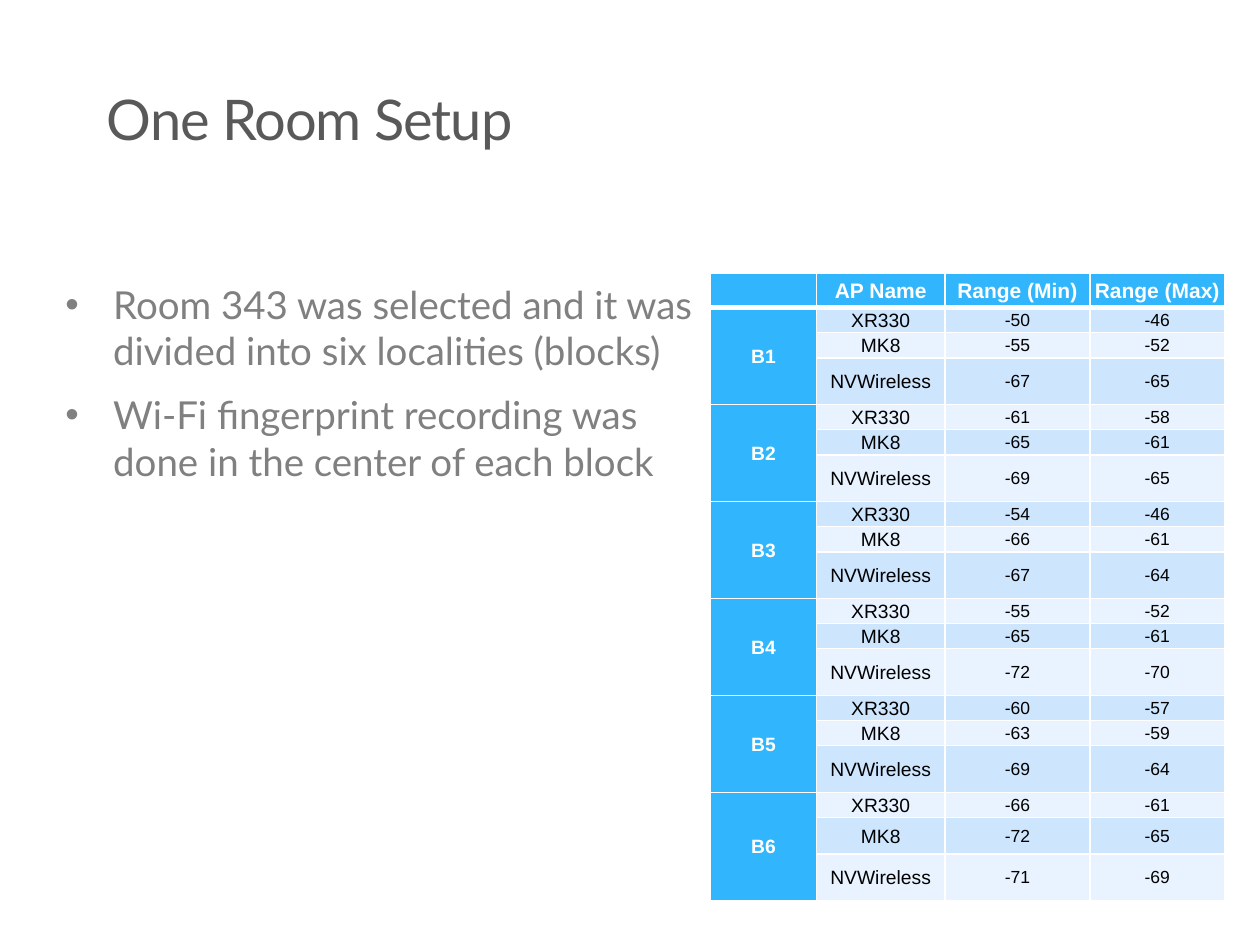
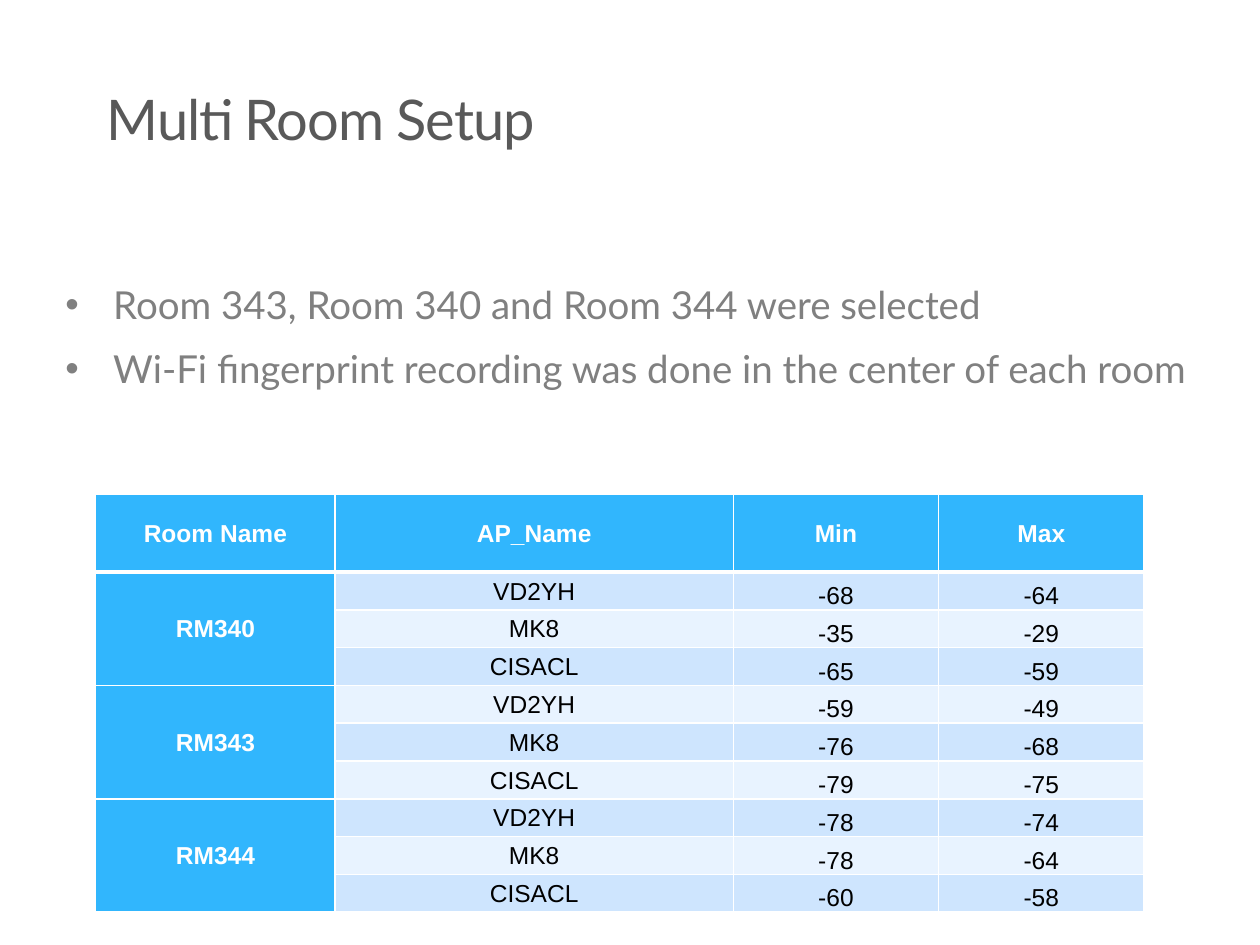
from lxml import etree
from pptx import Presentation
from pptx.dml.color import RGBColor
from pptx.enum.text import MSO_ANCHOR, PP_ALIGN
from pptx.oxml.ns import qn
from pptx.util import Inches, Pt

TOP, MIDDLE, BOTTOM = MSO_ANCHOR.TOP, MSO_ANCHOR.MIDDLE, MSO_ANCHOR.BOTTOM
CENTER = PP_ALIGN.CENTER

WHITE = RGBColor(0xFF, 0xFF, 0xFF)
BLACK = RGBColor(0x00, 0x00, 0x00)
TITLE_GRAY = RGBColor(0x59, 0x59, 0x59)
BODY_GRAY = RGBColor(0x80, 0x80, 0x80)
BLUE = RGBColor(0x31, 0xB6, 0xFD)
BANDS = RGBColor(0xCE, 0xE5, 0xFE), RGBColor(0xE8, 0xF3, 0xFF)
SLIDE_FONT, TABLE_FONT = "Lato", "Arial"

GROUP_SIZE = 3  # access points measured at each place

SLIDES = [
    {
        "title": "One Room Setup",
        "bullets": [
            "Room 343 was selected and it was divided into six localities (blocks)",
            "Wi-Fi fingerprint recording was done in the center of each block",
        ],
        "body_width": 5.25,
        "table": {
            "at": (5.64, 2.17),
            "header": ["", "AP Name", "Range (Min)", "Range (Max)"],
            "access_points": ["XR330", "MK8", "NVWireless"],
            "ranges": {
                "B1": [(-50, -46), (-55, -52), (-67, -65)],
                "B2": [(-61, -58), (-65, -61), (-69, -65)],
                "B3": [(-54, -46), (-66, -61), (-67, -64)],
                "B4": [(-55, -52), (-65, -61), (-72, -70)],
                "B5": [(-60, -57), (-63, -59), (-69, -64)],
                "B6": [(-66, -61), (-72, -65), (-71, -69)],
            },
            "widths": [0.84, 1.02, 1.15, 1.07],
            "heights": [0.27] + [0.2, 0.2, 0.37] * 5 + [0.2, 0.29, 0.37],
            "header_size": 12, "name_size": 11, "value_size": 10,
            "value_anchor": MIDDLE,
        },
    },
    {
        "title": "Multi Room Setup",
        "bullets": [
            "Room 343, Room 340 and Room 344 were selected",
            "Wi-Fi fingerprint recording was done in the center of each room",
        ],
        "body_width": 9.42,
        "table": {
            "at": (0.76, 3.92),
            "header": ["Room Name", "AP_Name", "Min", "Max"],
            "access_points": ["VD2YH", "MK8", "CISACL"],
            "ranges": {
                "RM340": [(-68, -64), (-35, -29), (-65, -59)],
                "RM343": [(-59, -49), (-76, -68), (-79, -75)],
                "RM344": [(-78, -74), (-78, -64), (-60, -58)],
            },
            "widths": [1.9, 3.16, 1.63, 1.63],
            "heights": [0.62] + [0.3] * 9,
            "header_size": 14, "name_size": 14, "value_size": 14,
            "value_anchor": BOTTOM,
        },
    },
]


def write(p, text, *, size, color, font=SLIDE_FONT, bold=False, align=None, spacing=None):
    p.alignment = align
    if not text:
        etree.SubElement(p._p, qn("a:endParaRPr"), sz=str(size * 100))
        return
    r = p.add_run()
    r.text = text
    r.font.size, r.font.name, r.font.bold = Pt(size), font, bold
    r.font.color.rgb = color
    if spacing is not None:
        r._r.get_or_add_rPr().set("spc", str(round(spacing * 100)))


def add_text_frame(slide, left, top, width, height, anchor):
    tf = slide.shapes.add_textbox(*map(Inches, (left, top, width, height))).text_frame
    tf.word_wrap = True
    tf.vertical_anchor = anchor
    return tf


def add_title(slide, text):
    tf = add_text_frame(slide, 0.75, 0, 8.33, 1.25, BOTTOM)
    write(tf.paragraphs[0], text, size=32, color=TITLE_GRAY, spacing=-0.6)


def add_bullets(slide, bullets, width):
    tf = add_text_frame(slide, 0.42, 1.67, width, 5.33, TOP)
    tf.margin_top = Inches(0.56)
    for i, text in enumerate(bullets):
        p = tf.add_paragraph() if i else tf.paragraphs[0]
        p.space_after = Pt(10.4)
        pPr = p._p.get_or_add_pPr()
        pPr.set("marL", str(Inches(0.38)))
        pPr.set("indent", str(-Inches(0.38)))
        etree.SubElement(pPr, qn("a:buFont"), typeface="Arial")
        etree.SubElement(pPr, qn("a:buChar"), char="•")
        write(p, text, size=22, color=BODY_GRAY)


def set_borders(cell, **widths):
    tcPr = cell._tc.get_or_add_tcPr()
    for side in "LRTB":
        ln = etree.SubElement(tcPr, qn(f"a:ln{side}"), w=str(Pt(widths.get(side, 1))))
        fill = etree.SubElement(ln, qn("a:solidFill"))
        etree.SubElement(fill, qn("a:srgbClr"), val=str(WHITE))


def table_rows(data):
    """Header and data rows; a place is named only in the first row of its group."""
    rows = [data["header"]]
    for place, ranges in data["ranges"].items():
        for i, (ap, limits) in enumerate(zip(data["access_points"], ranges)):
            rows.append(["" if i else place, ap, *map(str, limits)])
    return rows


def add_range_table(slide, data):
    rows, widths, heights = table_rows(data), data["widths"], data["heights"]
    box = (*data["at"], sum(widths), sum(heights))
    table = slide.shapes.add_table(len(rows), len(widths), *map(Inches, box)).table
    table.first_row = table.horz_banding = False
    for column, width in zip(table.columns, widths):
        column.width = Inches(width)
    for row, height in zip(table.rows, heights):
        row.height = Inches(height)

    for i, row in enumerate(rows):
        for j, text in enumerate(row):
            cell = table.cell(i, j)
            heading, value = i == 0 or j == 0, i > 0 and j > 1
            cell.margin_left = cell.margin_right = cell.margin_top = Inches(0.01)
            cell.margin_bottom = 0
            cell.vertical_anchor = data["value_anchor"] if value else MIDDLE
            set_borders(cell, T=3 if i == 1 else 1, B=3 if i == 0 else 1)
            cell.fill.solid()
            cell.fill.fore_color.rgb = BLUE if heading else BANDS[(i - 1) % 2]
            kind = "header" if i == 0 else "value" if value else "name"
            write(cell.text_frame.paragraphs[0], text, size=data[f"{kind}_size"],
                  color=WHITE if heading else BLACK, font=TABLE_FONT,
                  bold=heading, align=CENTER)

    for first in range(1, len(rows), GROUP_SIZE):
        table.cell(first, 0).merge(table.cell(first + GROUP_SIZE - 1, 0))


def main():
    prs = Presentation()
    prs.slide_width, prs.slide_height = Inches(10), Inches(7.5)
    for content in SLIDES:
        slide = prs.slides.add_slide(prs.slide_layouts[6])
        add_title(slide, content["title"])
        add_bullets(slide, content["bullets"], content["body_width"])
        add_range_table(slide, content["table"])
    prs.save("out.pptx")


if __name__ == "__main__":
    main()
